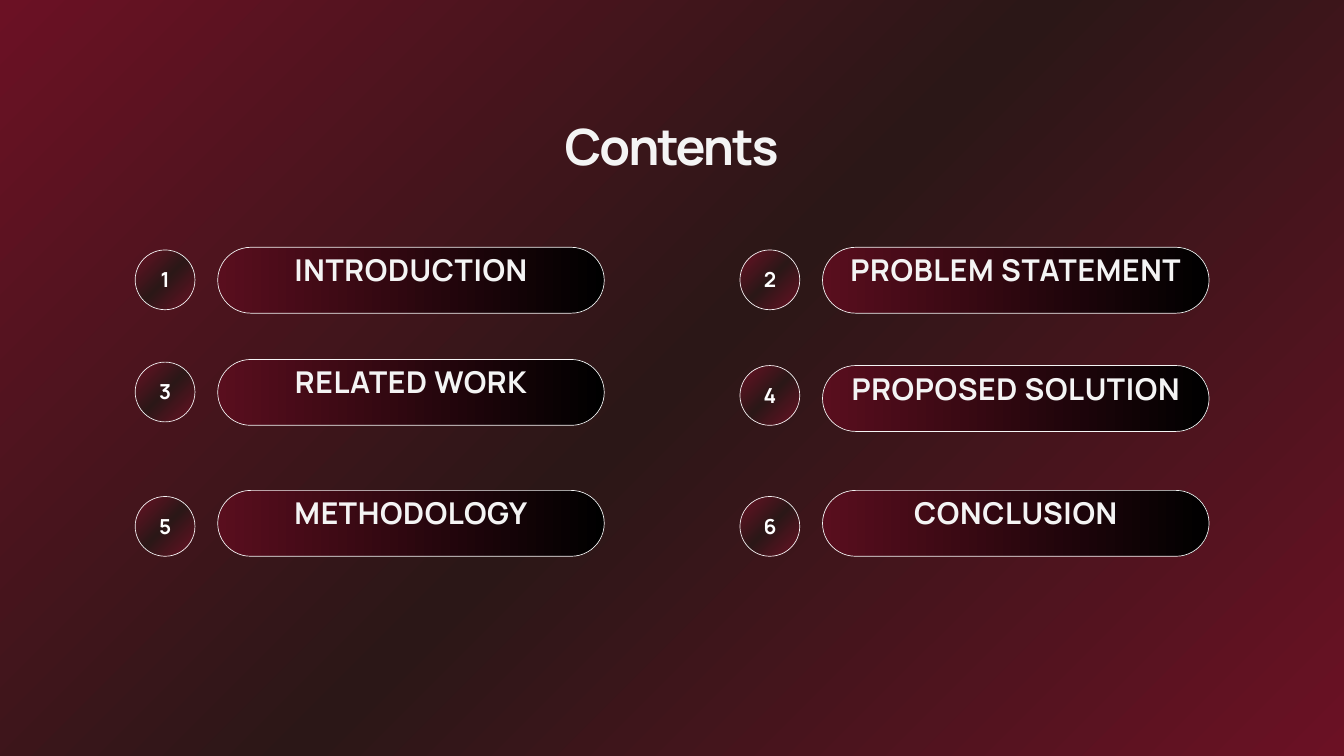
from dataclasses import dataclass

from lxml.etree import SubElement
from pptx import Presentation
from pptx.dml.color import RGBColor
from pptx.dml.fill import FillFormat
from pptx.enum.shapes import MSO_SHAPE
from pptx.enum.text import MSO_ANCHOR, PP_ALIGN
from pptx.oxml.ns import qn
from pptx.oxml.xmlchemy import BaseOxmlElement
from pptx.shapes.autoshape import Shape
from pptx.shapes.shapetree import GroupShapes, SlideShapes
from pptx.util import Cm, Pt

COLORS = {
    "crimson": "6B1124",
    "brown": "2B1717",
    "wine": "590E1E",
    "black": "000000",
    "light": "F4F4F4",
    "white": "FFFFFF",
}
DIAGONAL = [(0, "crimson"), (50, "brown"), (100, "crimson")]
HORIZONTAL = [(0, "wine"), (100, "black")]
FONT = "Manrope"
COLUMN_STEP = 22.86


@dataclass(frozen=True)
class Box:
    left: float
    top: float
    width: float
    height: float

    def lengths(self) -> tuple[Cm, Cm, Cm, Cm]:
        return Cm(self.left), Cm(self.top), Cm(self.width), Cm(self.height)


@dataclass(frozen=True)
class TextStyle:
    size: float
    line_spacing: float
    letter_spacing: float
    color: str
    inset: float
    anchor: MSO_ANCHOR


@dataclass(frozen=True)
class Entry:
    title: str
    pill_top: float
    badge_top: float


TITLE = TextStyle(53.5, 50.8, -2.2, "light", 0, MSO_ANCHOR.TOP)
LABEL = TextStyle(32.2, 45.1, 0.7, "light", 0.15, MSO_ANCHOR.MIDDLE)
NUMBER = TextStyle(22.2, 31.1, 0.5, "white", 0.15, MSO_ANCHOR.MIDDLE)

ENTRIES = [
    Entry("INTRODUCTION", 9.35, 9.45),
    Entry("PROBLEM STATEMENT", 9.35, 9.45),
    Entry("RELATED WORK", 13.59, 13.69),
    Entry("PROPOSED SOLUTION", 13.82, 13.82),
    Entry("METHODOLOGY", 18.54, 18.77),
    Entry("CONCLUSION", 18.54, 18.77),
]


def set_gradient(fill: FillFormat, element: BaseOxmlElement,
                 stops: list[tuple[int, str]], angle: float) -> None:
    fill.gradient()
    fill.gradient_angle = angle
    stop_list = element.find(".//" + qn("a:gsLst"))
    for stop in list(stop_list):
        stop_list.remove(stop)
    for position, color in stops:
        stop = SubElement(stop_list, qn("a:gs"), pos=str(position * 1000))
        SubElement(stop, qn("a:srgbClr"), val=COLORS[color])


def add_outlined_shape(shapes: GroupShapes, kind: MSO_SHAPE, box: Box,
                       stops: list[tuple[int, str]], angle: float) -> Shape:
    shape = shapes.add_shape(kind, *box.lengths())
    shape.shadow.inherit = False
    set_gradient(shape.fill, shape.element, stops, angle)
    shape.line.color.rgb = RGBColor.from_string(COLORS["light"])
    shape.line.width = Pt(0.75)
    return shape


def add_text(shapes: SlideShapes | GroupShapes, text: str, box: Box,
             style: TextStyle) -> None:
    text_frame = shapes.add_textbox(*box.lengths()).text_frame
    text_frame.word_wrap = True
    text_frame.vertical_anchor = style.anchor
    text_frame.margin_left = text_frame.margin_right = Cm(style.inset)
    text_frame.margin_top = text_frame.margin_bottom = Cm(style.inset)
    text_frame.text = text
    paragraph = text_frame.paragraphs[0]
    paragraph.alignment = PP_ALIGN.CENTER
    paragraph.line_spacing = Pt(style.line_spacing)
    run = paragraph.runs[0]
    run.font.name = FONT
    run.font.size = Pt(style.size)
    run.font.bold = True
    run.font.color.rgb = RGBColor.from_string(COLORS[style.color])
    run._r.get_or_add_rPr().set("spc", str(round(style.letter_spacing * 100)))


def add_pill(shapes: GroupShapes, entry: Entry, offset: float) -> None:
    left = 8.23 + offset
    pill = add_outlined_shape(shapes, MSO_SHAPE.ROUNDED_RECTANGLE,
                              Box(left, entry.pill_top, 14.61, 2.49), HORIZONTAL, 0)
    pill.adjustments[0] = 0.5
    add_text(shapes, entry.title, Box(left, entry.pill_top - 1.02, 14.61, 3.51), LABEL)


def add_badge(shapes: GroupShapes, number: int, top: float, offset: float) -> None:
    left = 5.11 + offset
    add_outlined_shape(shapes, MSO_SHAPE.OVAL, Box(left, top, 2.26, 2.26), DIAGONAL, 315)
    add_text(shapes, str(number), Box(left + 0.22, top + 0.03, 1.83, 2.01), NUMBER)


def main() -> None:
    presentation = Presentation()
    presentation.slide_width = Cm(50.8)
    presentation.slide_height = Cm(28.58)
    slide = presentation.slides.add_slide(presentation.slide_layouts[6])
    set_gradient(slide.background.fill, slide.element, DIAGONAL, 315)

    add_text(slide.shapes, "Contents", Box(18.8, 4.85, 13.18, 2.03), TITLE)
    for index, entry in enumerate(ENTRIES):
        offset = index % 2 * COLUMN_STEP
        add_pill(slide.shapes.add_group_shape().shapes, entry, offset)
        add_badge(slide.shapes.add_group_shape().shapes, index + 1, entry.badge_top, offset)

    presentation.save("out.pptx")


if __name__ == "__main__":
    main()
